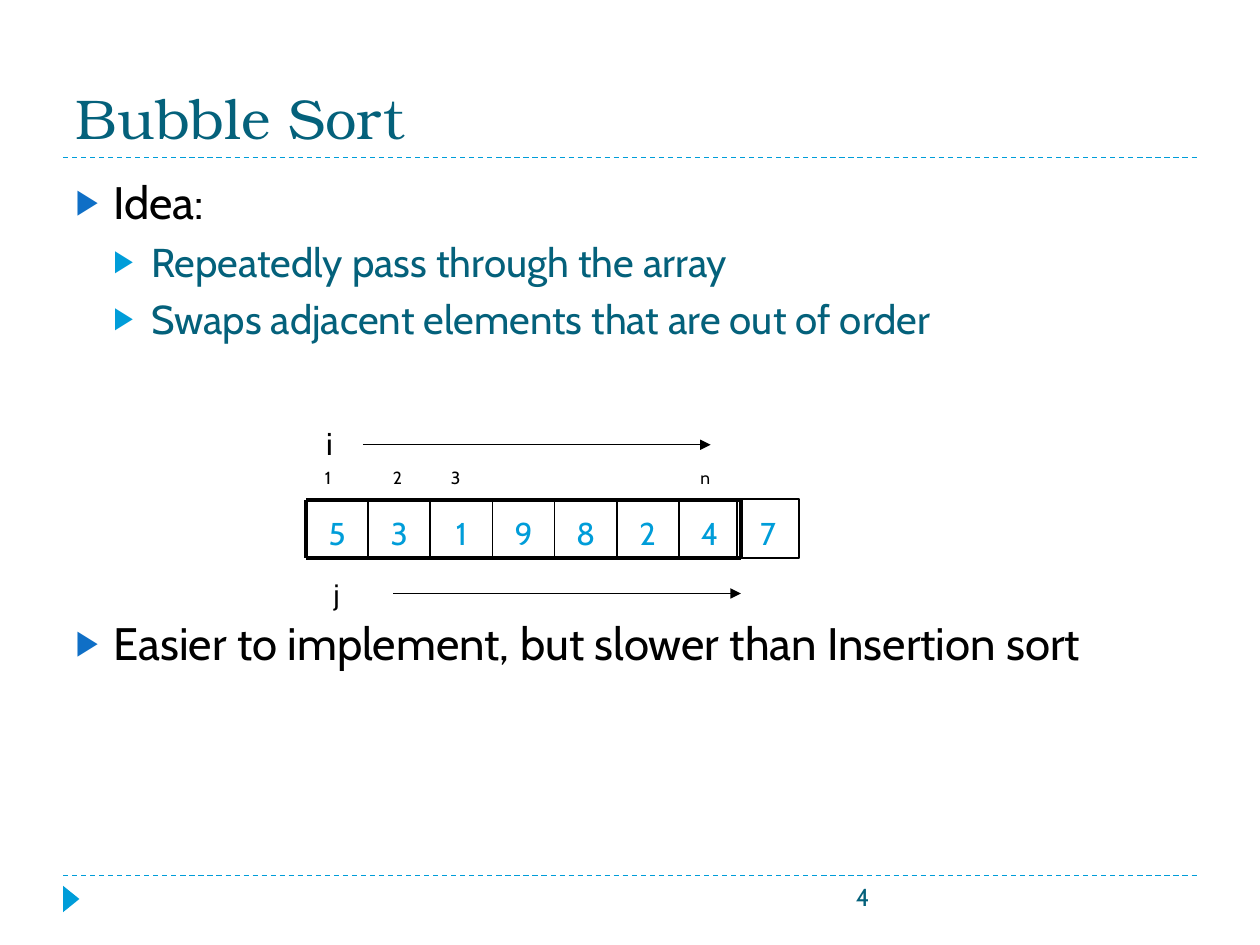
from lxml import etree
from pptx import Presentation
from pptx.dml.color import RGBColor
from pptx.enum import dml, shapes, text
from pptx.oxml import ns
from pptx.util import Inches, Pt

BLACK = RGBColor(0x00, 0x00, 0x00)
TEAL = RGBColor(0x04, 0x61, 0x7B)
CYAN = RGBColor(0x00, 0x9D, 0xD9)
BLUE = RGBColor(0x0F, 0x6F, 0xC6)
BODY_FONT, TITLE_FONT = "Cabin", "TeX Gyre Bonum"

TITLE = "Bubble Sort"
POINTS = [
    (0, "Idea:", 0),
    (1, "Repeatedly pass through the array", 5),
    (1, "Swaps adjacent elements that are out of order", 5),
    (0, "Easier to implement, but slower than Insertion sort", 156),
]
LEVELS = [(26, BLACK, BLUE), (23, TEAL, CYAN)]
SORTED_PART = "5319824"
LAST_VALUE = "7"
INDEXES = [("1", 2.48), ("2", 3.02), ("3", 3.48), ("n", 5.46)]
COUNTERS = [("i", 18, 2.49, 3.32, 2.88, 3.53), ("j", 16, 2.55, 4.53, 3.12, 4.71)]
ARROW_LENGTH = 2.76
PAGE_NUMBER = "4"

MARGIN, CONTENT_WIDTH = 0.5, 9
RULES = (1.25, 6.95)
ARRAY_LEFT, ARRAY_TOP, ARRAY_BOTTOM = 2.43, 3.97, 4.43
ARRAY_RIGHT = 5.88
CELL = (ARRAY_RIGHT - ARRAY_LEFT) / len(SORTED_PART)


def place(shape, left, top, width, height):
    shape.left, shape.top = Inches(left), Inches(top)
    shape.width, shape.height = Inches(width), Inches(height)


def style(para, size, color, font=BODY_FONT):
    para.font.size, para.font.name = Pt(size), font
    para.font.color.rgb = color


def write(shape, words, size, color, align=text.PP_ALIGN.LEFT,
          anchor=text.MSO_ANCHOR.TOP, font=BODY_FONT, wrap=True):
    frame = shape.text_frame
    frame.text = words
    frame.word_wrap = wrap
    frame.auto_size = text.MSO_AUTO_SIZE.NONE
    frame.vertical_anchor = anchor
    frame.paragraphs[0].alignment = align
    style(frame.paragraphs[0], size, color, font)


def add_text(page, area, words, size, color, **options):
    box = page.shapes.add_textbox(*map(Inches, area))
    write(box, words, size, color, **options)


def add_line(page, start, end, width, color=BLACK, dashed=False, arrow=False):
    line = page.shapes.add_connector(
        shapes.MSO_CONNECTOR.STRAIGHT, *map(Inches, (*start, *end)))
    line.line.width = Pt(width)
    line.line.color.rgb = color
    if dashed:
        line.line.dash_style = dml.MSO_LINE.DASH
    if arrow:
        outline = line.line._get_or_add_ln()
        etree.SubElement(outline, ns.qn("a:tailEnd"), type="triangle")
    etree.SubElement(line._element.spPr, ns.qn("a:effectLst"))


def add_bullet(para, level, color):
    properties = para._p.get_or_add_pPr()
    properties.set("marL", str(Inches(0.3 * (level + 1))))
    properties.set("indent", str(Inches(-0.3)))
    tint = etree.SubElement(properties, ns.qn("a:buClr"))
    etree.SubElement(tint, ns.qn("a:srgbClr"), val=str(color))
    etree.SubElement(properties, ns.qn("a:buSzPct"), val="76000")
    etree.SubElement(properties, ns.qn("a:buChar"), char="▶")


def add_frame(page):
    for height in RULES:
        add_line(page, (MARGIN, height), (MARGIN + CONTENT_WIDTH, height),
                 0.75, CYAN, dashed=True)
    marker = page.shapes.add_shape(
        shapes.MSO_SHAPE.ISOSCELES_TRIANGLE, *map(Inches, (0.46, 7.07, 0.21, 0.13)))
    marker.rotation = 90
    marker.shadow.inherit = False
    marker.fill.solid()
    marker.fill.fore_color.rgb = CYAN
    marker.line.fill.background()
    add_text(page, (3.17, 6.95, 3.83, 0.4), PAGE_NUMBER, 14, TEAL,
             align=text.PP_ALIGN.RIGHT)


def add_content(page):
    title, body = page.shapes.title, page.placeholders[1]
    place(title, MARGIN, 0.17, CONTENT_WIDTH, 1.08)
    write(title, TITLE, 32, TEAL, anchor=text.MSO_ANCHOR.BOTTOM, font=TITLE_FONT)
    place(body, MARGIN, 1.33, CONTENT_WIDTH, 5.4)
    frame = body.text_frame
    frame.text = "\n".join(words for _, words, _ in POINTS)
    frame.auto_size = text.MSO_AUTO_SIZE.NONE
    for para, (level, _, gap) in zip(frame.paragraphs, POINTS):
        size, color, bullet_color = LEVELS[level]
        para.level = level
        para.space_before = Pt(gap)
        add_bullet(para, level, bullet_color)
        style(para, size, color)


def add_array(page):
    centred = dict(align=text.PP_ALIGN.CENTER, anchor=text.MSO_ANCHOR.BOTTOM)
    height = ARRAY_BOTTOM - ARRAY_TOP
    for label, left in INDEXES:
        add_text(page, (left, 3.66, 0.25, 0.27), label, 10, BLACK)
    for column, value in enumerate(SORTED_PART):
        add_text(page, (ARRAY_LEFT + column * CELL, ARRAY_TOP, CELL, height),
                 value, 18, CYAN, **centred)
    for y in (ARRAY_TOP, ARRAY_BOTTOM):
        add_line(page, (ARRAY_LEFT, y), (ARRAY_RIGHT, y), 2.25)
    for column in range(len(SORTED_PART) + 1):
        x = ARRAY_LEFT + column * CELL
        width = 2.25 if column in (0, len(SORTED_PART)) else 1
        add_line(page, (x, ARRAY_TOP), (x, ARRAY_BOTTOM), width)
    last = page.shapes.add_shape(
        shapes.MSO_SHAPE.RECTANGLE, *map(Inches, (5.85, 3.96, 0.49, 0.47)))
    last.shadow.inherit = False
    last.fill.background()
    last.line.color.rgb = BLACK
    last.line.width = Pt(1.25)
    write(last, LAST_VALUE, 18, CYAN, **centred)


def add_counters(page):
    for name, size, left, top, start, y in COUNTERS:
        add_text(page, (left, top, 0.25, 0.4), name, size, BLACK, wrap=False)
        add_line(page, (start, y), (start + ARROW_LENGTH, y), 0.75, arrow=True)


def main():
    deck = Presentation()
    deck.slide_width, deck.slide_height = Inches(10), Inches(7.5)
    page = deck.slides.add_slide(deck.slide_layouts[1])
    add_frame(page)
    add_content(page)
    add_array(page)
    add_counters(page)
    deck.save("out.pptx")


if __name__ == "__main__":
    main()
